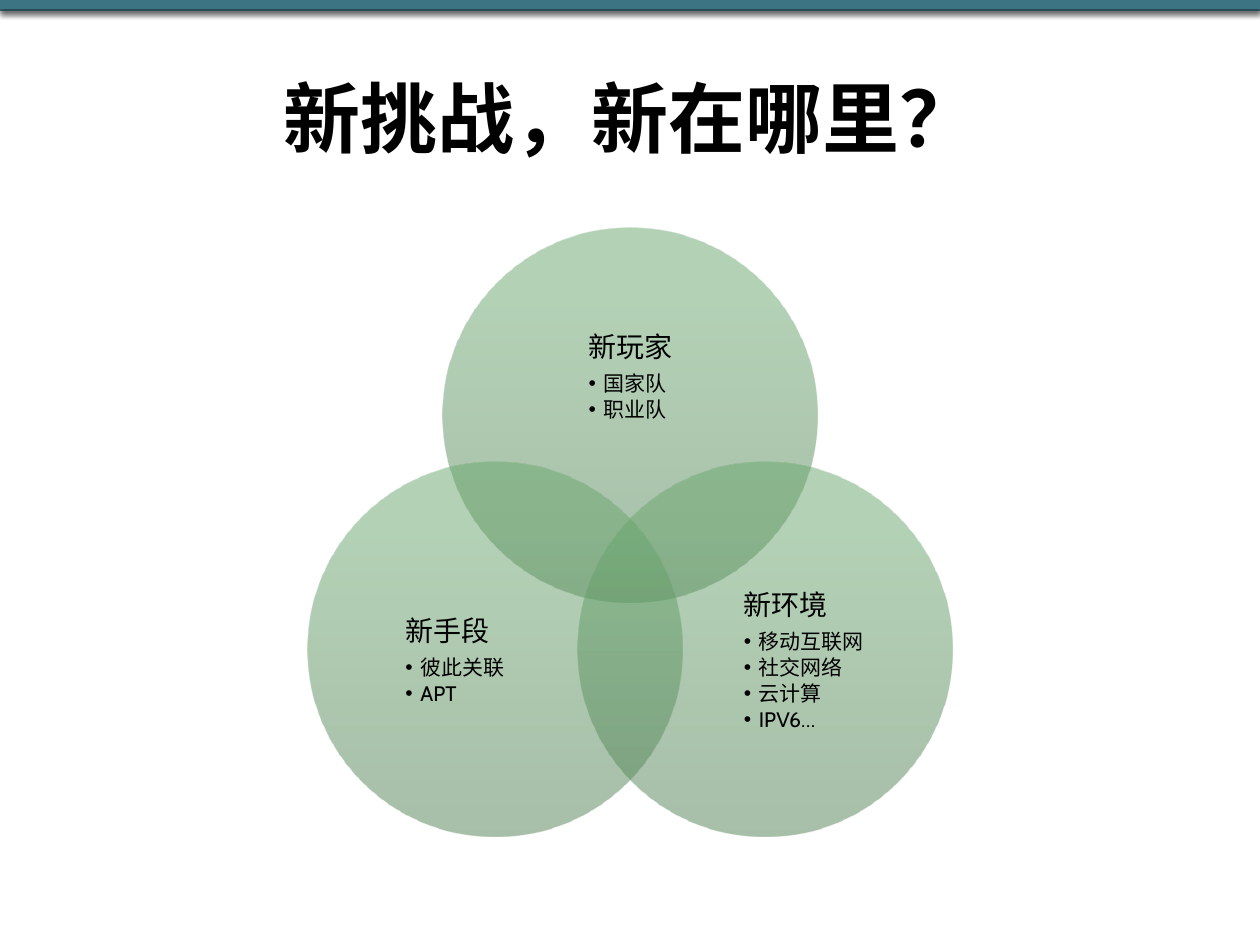
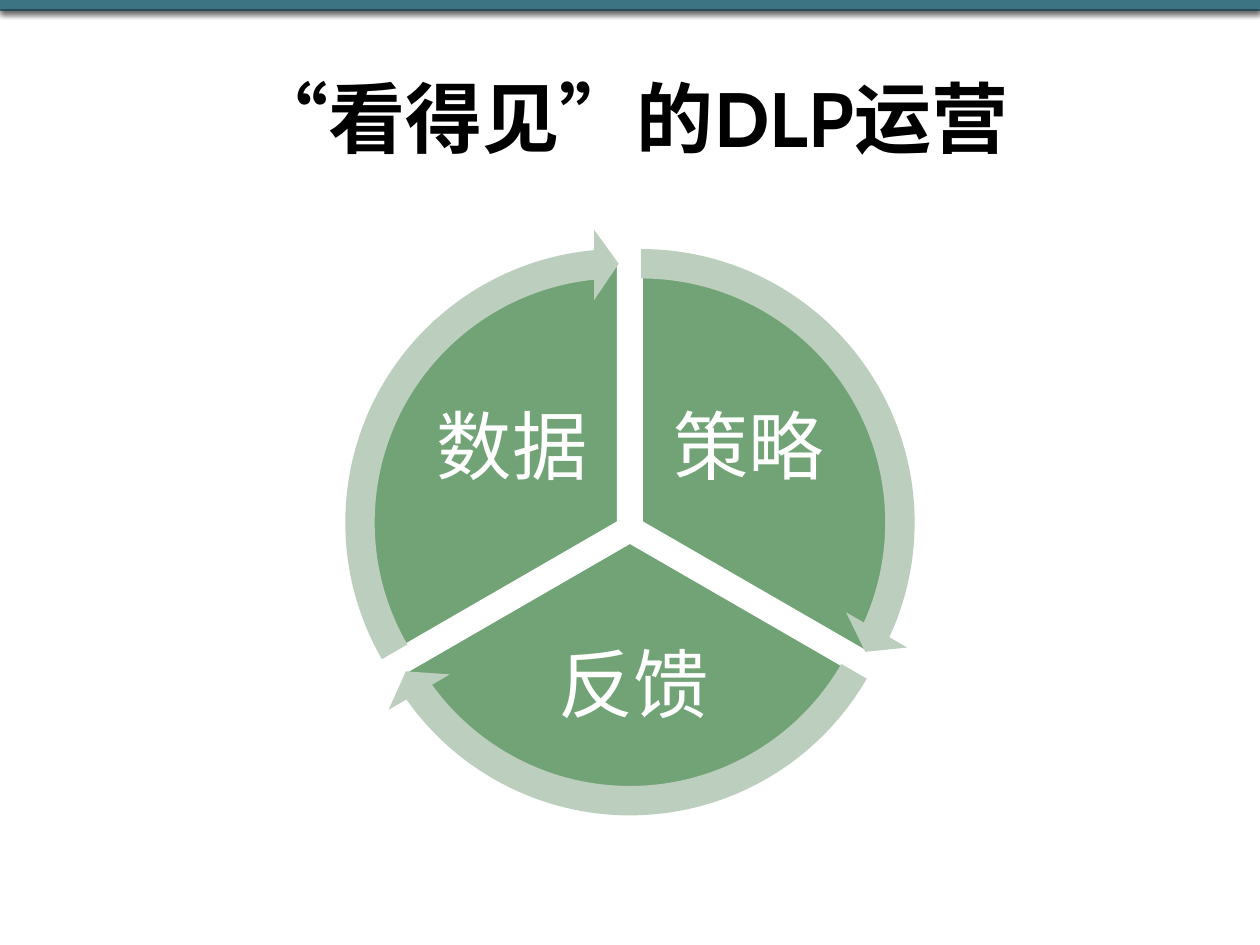
from dataclasses import dataclass
from math import cos, radians, sin

from lxml.etree import SubElement
from pptx import Presentation
from pptx.dml.color import RGBColor
from pptx.enum.lang import MSO_LANGUAGE_ID
from pptx.enum.shapes import MSO_CONNECTOR, MSO_SHAPE
from pptx.enum.text import MSO_ANCHOR, PP_ALIGN
from pptx.oxml import parse_xml
from pptx.oxml.ns import nsdecls, qn
from pptx.util import Pt

PIXEL = 914400 / 126
ADJUSTMENT_PER_DEGREE = 0.6


@dataclass(frozen=True)
class Theme:
    font: str = "Cabin"
    bullet_font: str = "Arial"
    band: str = "3C7483"
    ink: str = "000000"
    paper: str = "FFFFFF"
    sector: str = "72A376"
    arrow: str = "BCCEBD"
    circle_stops: tuple = ((0, "507F53"), (80, "67A56C"), (100, "67A76C"))
    title_size: int = 44
    sector_size: int = 43
    heading_size: int = 16
    bullet_size: int = 12


THEME = Theme()


def px(length):
    return round(length * PIXEL)


def box_around(center, diameter):
    return [px(value) for value in (center[0] - diameter / 2, center[1] - diameter / 2, diameter, diameter)]


def point_on_circle(center, radius, degrees):
    angle = radians(degrees)
    return center[0] + radius * cos(angle), center[1] + radius * sin(angle)


def add_text_box(slide, box, margins=(0, 0), center_block=False):
    frame = slide.shapes.add_textbox(*map(px, box)).text_frame
    frame.word_wrap = True
    frame.vertical_anchor = MSO_ANCHOR.MIDDLE
    frame.margin_left = frame.margin_right = px(margins[0])
    frame.margin_top = frame.margin_bottom = px(margins[1])
    if center_block:
        frame._txBody.bodyPr.set("anchorCtr", "1")
    return frame


def write_text(paragraph, text, *, size, color=THEME.ink, bold=False, align=PP_ALIGN.LEFT,
               line_spacing=None, space_after=0, bullet=False):
    if bullet:
        properties = paragraph._p.get_or_add_pPr()
        properties.set("marL", str(px(15)))
        properties.set("indent", str(-px(15)))
        SubElement(properties, qn("a:buFont")).set("typeface", THEME.bullet_font)
        SubElement(properties, qn("a:buChar")).set("char", "•")
    paragraph.alignment = align
    paragraph.line_spacing = line_spacing
    paragraph.space_after = Pt(space_after)
    run = paragraph.add_run()
    run.text = text
    run.font.name = THEME.font
    run.font.size = Pt(size)
    run.font.bold = bold
    run.font.color.rgb = RGBColor.from_string(color)
    run.font.language_id = MSO_LANGUAGE_ID.SIMPLIFIED_CHINESE


def add_band_line(slide, y):
    line = slide.shapes.add_connector(MSO_CONNECTOR.STRAIGHT, 0, px(y), px(1260), px(y))
    line.line.color.rgb = RGBColor.from_string(THEME.band)
    line.line.width = Pt(6)
    line._element.spPr.append(parse_xml(
        f'<a:effectLst {nsdecls("a")}><a:outerShdw blurRad="{Pt(3.1)}" dist="{Pt(1.6)}" '
        f'dir="5400000" rotWithShape="0"><a:srgbClr val="{THEME.ink}"><a:alpha val="38000"/>'
        '</a:srgbClr></a:outerShdw></a:effectLst>'))


def add_titled_slide(presentation, title):
    slide = presentation.slides.add_slide(presentation.slide_layouts[6])
    for y in (6, 4):
        add_band_line(slide, y)
    frame = add_text_box(slide, (63, 38, 1134, 158), margins=(13, 6))
    write_text(frame.paragraphs[0], title, size=THEME.title_size, bold=True, align=PP_ALIGN.CENTER)
    return slide


def add_venn_circle(slide, center, diameter):
    circle = slide.shapes.add_shape(MSO_SHAPE.OVAL, *box_around(center, diameter))
    circle.shadow.inherit = False
    circle.line.fill.background()
    stops = "".join(
        f'<a:gs pos="{position * 1000}"><a:srgbClr val="{color}"><a:alpha val="50000"/></a:srgbClr></a:gs>'
        for position, color in THEME.circle_stops)
    circle._element.spPr.find(qn("a:prstGeom")).addnext(parse_xml(
        f'<a:gradFill {nsdecls("a")} rotWithShape="1"><a:gsLst>{stops}</a:gsLst>'
        '<a:lin ang="16200000" scaled="0"/></a:gradFill>'))


def add_topic(slide, box, heading, bullets):
    frame = add_text_box(slide, box, center_block=True)
    write_text(frame.paragraphs[0], heading, size=THEME.heading_size, line_spacing=0.9, space_after=5.6)
    for text in bullets:
        write_text(frame.add_paragraph(), text, size=THEME.bullet_size,
                   line_spacing=0.9, space_after=1.8, bullet=True)


def add_cycle_shape(slide, preset, center, diameter, color, adjustments, outline=None):
    shape = slide.shapes.add_shape(preset, *box_around(center, diameter))
    shape.shadow.inherit = False
    shape.fill.solid()
    shape.fill.fore_color.rgb = RGBColor.from_string(color)
    if outline:
        shape.line.color.rgb = RGBColor.from_string(outline)
        shape.line.width = Pt(2)
    else:
        shape.line.fill.background()
    for index, value in enumerate(adjustments):
        shape.adjustments[index] = value


def build_challenges(presentation):
    slide = add_titled_slide(presentation, "新挑战，新在哪里？")
    topics = (
        ((493, 293, 275, 169), "新玩家", ("国家队", "职业队")),
        ((692, 559, 224, 205), "新环境", ("移动互联网", "社交网络", "云计算", "IPV6…")),
        ((343, 559, 224, 205), "新手段", ("彼此关联", "APT")),
    )
    for index, (box, heading, bullets) in enumerate(topics):
        add_venn_circle(slide, point_on_circle((630, 571), 156, 120 * index - 90), 375)
        add_topic(slide, box, heading, bullets)


def build_operations(presentation):
    slide = add_titled_slide(presentation, "“看得见”的DLP运营")
    sectors = (
        ("策略", (656, 372, 186, 156)),
        ("反馈", (493, 620, 281, 137)),
        ("数据", (419, 372, 186, 156)),
    )
    arrows = []
    for index, (label, box) in enumerate(sectors):
        center = point_on_circle((630, 529), 13, 120 * index - 30)
        start = (270 + 120 * index) % 360 * ADJUSTMENT_PER_DEGREE
        end = (30 + 120 * index) % 360 * ADJUSTMENT_PER_DEGREE
        add_cycle_shape(slide, MSO_SHAPE.PIE, center, 524, THEME.sector, (start, end), THEME.paper)
        frame = add_text_box(slide, box, margins=(8, 8))
        write_text(frame.paragraphs[0], label, size=THEME.sector_size, color=THEME.paper,
                   align=PP_ALIGN.CENTER, line_spacing=0.9)
        arrows.append((center, (0.05, 3.28, end - 3.28, start, 0.06)))
    for center, adjustments in arrows:
        add_cycle_shape(slide, MSO_SHAPE.CIRCULAR_ARROW, center, 588, THEME.arrow, adjustments)


def main():
    presentation = Presentation()
    presentation.slide_width = px(1260)
    presentation.slide_height = px(945)
    build_challenges(presentation)
    build_operations(presentation)
    presentation.save("out.pptx")


if __name__ == "__main__":
    main()
